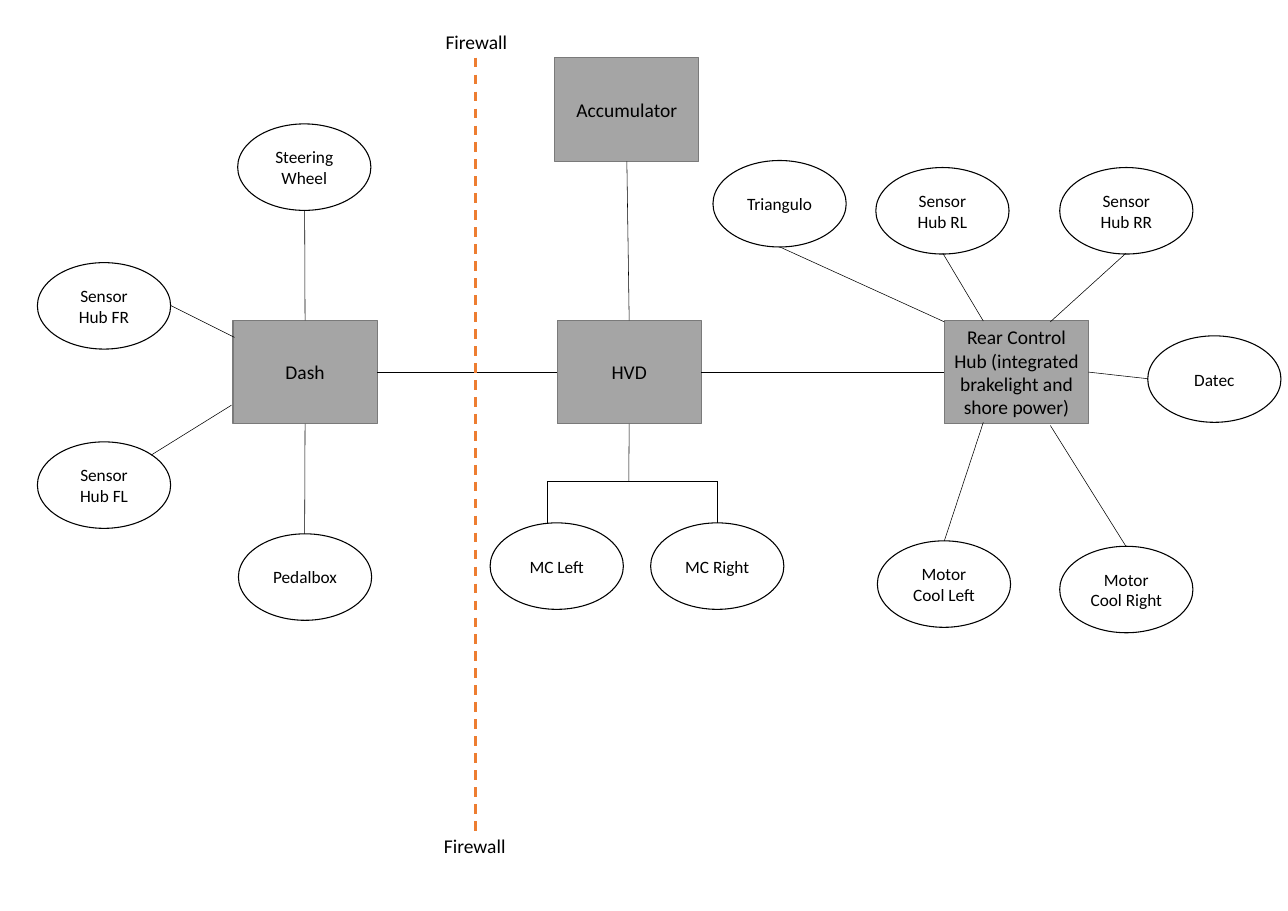
from pptx import Presentation
from pptx.dml.color import RGBColor
from pptx.enum.dml import MSO_LINE
from pptx.enum.shapes import MSO_CONNECTOR, MSO_SHAPE
from pptx.enum.text import MSO_ANCHOR, MSO_AUTO_SIZE, PP_ALIGN
from pptx.oxml.ns import qn
from pptx.util import Inches, Pt
from lxml.etree import SubElement

COLORS = {"unit": "A5A5A5", "unit_edge": "7A7A7A", "device": "FFFFFF",
          "ink": "000000", "firewall": "ED7D31"}
FONT = "Calibri"
TOP, LEFT, BOTTOM, RIGHT = range(4)

UNITS = {
    "Dash": (2.99, 4.11),
    "Rear Control Hub (integrated brakelight and shore power)": (12.12, 4.11),
    "HVD": (7.15, 4.11),
    "Accumulator": (7.12, 0.74),
}
DEVICES = {
    "Steering Wheel": (3.05, 1.59),
    "Pedalbox": (3.06, 6.85),
    "MC Right": (8.35, 6.71),
    "MC Left": (6.29, 6.71),
    "Triangulo": (9.15, 2.06),
    "Sensor Hub FL": (0.48, 5.67),
    "Sensor Hub FR": (0.48, 3.37),
    "Sensor Hub RL": (11.24, 2.15),
    "Sensor Hub RR": (13.6, 2.15),
    "Motor Cool Left": (11.26, 6.94),
    "Motor Cool Right": (13.6, 7.01),
    "Datec": (14.73, 4.31),
}
WIRES = [
    ((7.03, 6.71), (7.03, 6.17)),
    ((8.07, 6.17), (7.03, 6.17)),
    ((8.07, 6.17), (9.21, 6.17)),
    ((9.21, 6.71), (9.21, 6.17)),
    ((1.94, 5.84), (2.97, 5.2)),
    ((2.19, 3.92), (3.01, 4.33)),
    ((12.1, 3.25), (12.62, 4.12)),
    ((12.12, 6.94), (12.62, 5.42)),
    ((14.45, 7.01), (13.48, 5.46)),
    ((14.45, 3.25), (13.48, 4.13)),
    ((10.01, 3.17), (12.12, 4.13)),
]


class Diagram:
    """Draws the elements of a wiring diagram on one slide."""

    def __init__(self, slide):
        self.shapes = slide.shapes

    def color(self, name):
        return RGBColor.from_string(COLORS[name])

    def set_words(self, frame, words, size):
        frame.text = words
        font = frame.paragraphs[0].runs[0].font
        font.name, font.size = FONT, Pt(size)
        font.color.rgb = self.color("ink")

    def node(self, kind, words, corner, extent, fill, edge, size):
        node = self.shapes.add_shape(kind, *map(Inches, corner + extent))
        node.shadow.inherit = False
        node.fill.solid()
        node.fill.fore_color.rgb = self.color(fill)
        node.line.color.rgb = self.color(edge)
        node.line.width = Pt(1)
        frame = node.text_frame
        frame.word_wrap = True
        frame.vertical_anchor = MSO_ANCHOR.MIDDLE
        self.set_words(frame, words, size)
        frame.paragraphs[0].alignment = PP_ALIGN.CENTER
        return node

    def unit(self, words, corner):
        return self.node(MSO_SHAPE.RECTANGLE, words, corner, (1.85, 1.33),
                         "unit", "unit_edge", 18)

    def device(self, words, corner):
        return self.node(MSO_SHAPE.OVAL, words, corner, (1.71, 1.11),
                         "device", "ink", 16)

    def wire(self, start, end, color="ink", width=0.5):
        wire = self.shapes.add_connector(MSO_CONNECTOR.STRAIGHT,
                                         *map(Inches, start + end))
        wire.line.color.rgb = self.color(color)
        wire.line.width = Pt(width)
        SubElement(wire._element.spPr, qn("a:effectLst"))
        return wire

    def label(self, words, corner):
        label = self.shapes.add_textbox(*map(Inches, corner + (1, 0.4)))
        label.text_frame.word_wrap = False
        label.text_frame.auto_size = MSO_AUTO_SIZE.SHAPE_TO_FIT_TEXT
        self.set_words(label.text_frame, words, 18)


def main():
    deck = Presentation()
    deck.slide_width, deck.slide_height = Inches(16.53), Inches(11.69)
    diagram = Diagram(deck.slides.add_slide(deck.slide_layouts[6]))

    dash, rear_hub, hvd, accumulator = [
        diagram.unit(words, corner) for words, corner in UNITS.items()]
    for words, corner in DEVICES.items():
        diagram.device(words, corner)

    for start, end in WIRES:
        diagram.wire(start, end)
    for unit, side, start, end in [
            (hvd, BOTTOM, (8.07, 5.44), (8.07, 6.17)),
            (dash, BOTTOM, (3.91, 5.44), (3.91, 6.85)),
            (dash, TOP, (3.91, 4.11), (3.91, 2.7)),
            (rear_hub, RIGHT, (13.97, 4.77), (14.73, 4.86))]:
        diagram.wire(start, end).begin_connect(unit, side)
    for first, first_side, second, second_side, start, end in [
            (accumulator, BOTTOM, hvd, TOP, (8.05, 2.07), (8.07, 4.11)),
            (dash, RIGHT, hvd, LEFT, (4.84, 4.77), (7.15, 4.77)),
            (hvd, RIGHT, rear_hub, LEFT, (9, 4.77), (12.12, 4.77))]:
        link = diagram.wire(start, end)
        link.begin_connect(first, first_side)
        link.end_connect(second, second_side)

    firewall = diagram.wire((6.1, 0.74), (6.1, 10.66), "firewall", 2.25)
    firewall.line.dash_style = MSO_LINE.DASH
    for corner in [(5.62, 0.34), (5.6, 10.66)]:
        diagram.label("Firewall", corner)

    deck.save("out.pptx")


if __name__ == "__main__":
    main()
